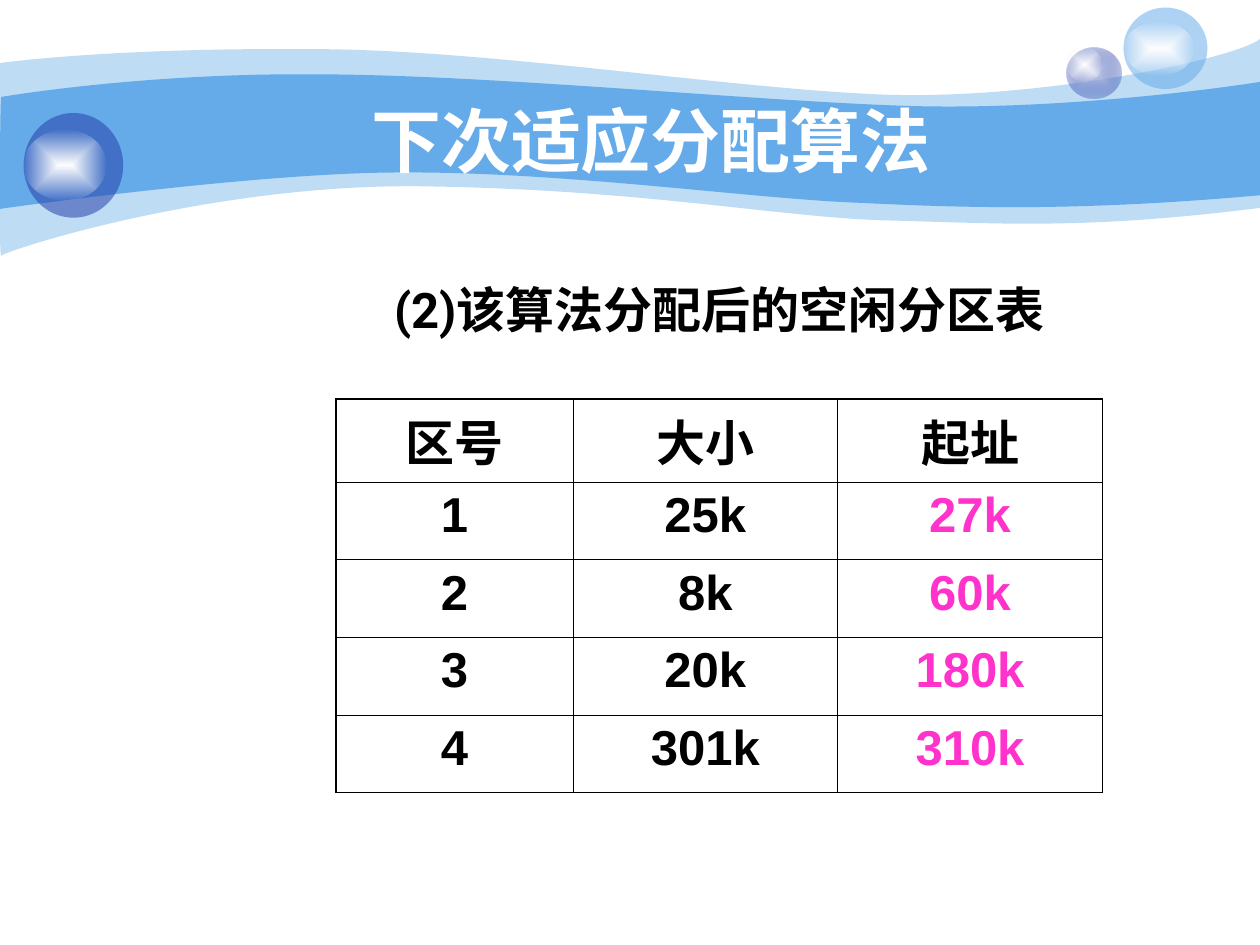
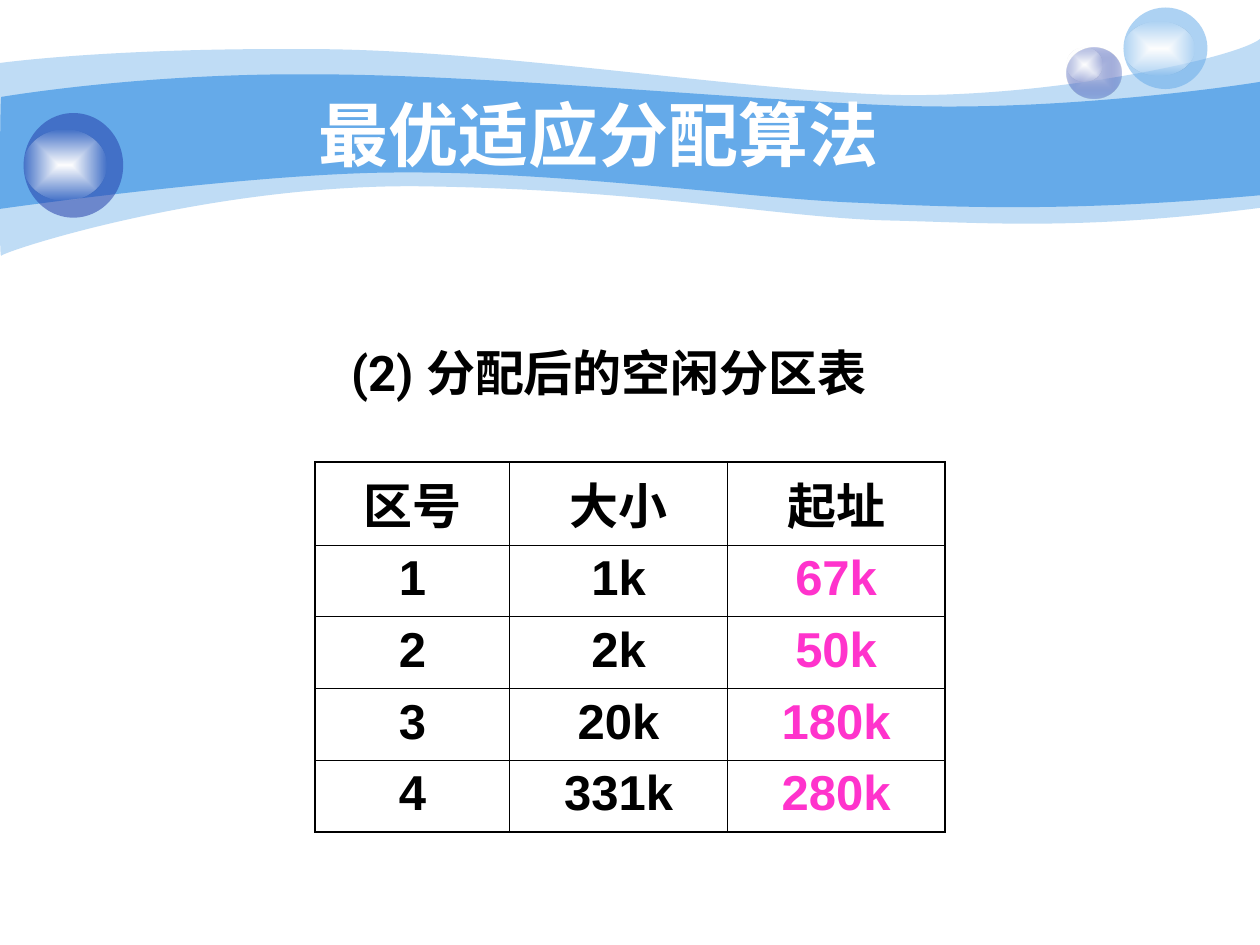
from dataclasses import dataclass

from lxml.etree import SubElement
from pptx import Presentation
from pptx.dml.color import RGBColor
from pptx.enum.shapes import MSO_SHAPE as Preset
from pptx.enum.text import MSO_ANCHOR as Anchor, MSO_AUTO_SIZE as AutoSize, PP_ALIGN as Align
from pptx.oxml import parse_xml
from pptx.oxml.ns import nsdecls, qn
from pptx.util import Pt


@dataclass(frozen=True)
class Theme:
    """Colours, fonts, type sizes and rule widths shared by the slides."""
    sky: str = "65AAE9"
    navy: str = "233DA9"
    lilac: str = "C7CEE9"
    white: str = "FFFFFF"
    ink: str = "000000"
    address: str = "FF33CC"
    body_font: str = "Arial"
    caption_font: str = "Roboto"
    title_size: float = 40
    body_size: float = 28
    frame_rule: float = 1.08
    grid_rule: float = 0.45


@dataclass(frozen=True)
class Box:
    """A region of the slide in points."""
    left: float
    top: float
    width: float
    height: float

    def inner(self, left, top, width, height):
        """Return a box placed relative to this one."""
        return Box(self.left + left, self.top + top, width, height)

    def lengths(self):
        """Return the four lengths for python-pptx."""
        return Pt(self.left), Pt(self.top), Pt(self.width), Pt(self.height)


THEME = Theme()
SLIDE = Box(0, 0, 720, 540)
HEADER = Box(0, 0, 720, 150)
COLUMN_WEIGHTS = (1.88, 2.1, 2.1)
COLUMN_HEADS = ("区号", "大小", "起址")
HEAD_ROW_HEIGHT = 47.5

PALE_WAVE = [
    [(0, 36)],
    [(17.3, 33.8), (77, 27.4), (177.8, 28.1)],
    [(277.9, 28.1), (414, 50.4), (503.3, 54)],
    [(591.8, 57.6), (705.6, 33.8), (720, 22.3)],
    [(720, 118.8)],
    [(617.8, 131.8), (566.6, 127.4), (507.6, 126)],
    [(447.8, 124.6), (370.8, 108.7), (247, 106.6)],
    [(123.8, 103.7), (2.9, 143.3), (0.7, 146.2)],
    [(-0.7, 149.8), (0, 54), (0, 36)],
]
DEEP_WAVE = [
    [(0.7, 55.4)],
    [(1.4, 55.4), (79.2, 41.8), (178.6, 42.5)],
    [(277.9, 42.5), (428.4, 57.6), (517, 60.5)],
    [(605.5, 63.4), (702.7, 49.7), (720, 46.8)],
    [(720, 111.6)],
    [(614.2, 121), (550.8, 118.8), (491, 115.9)],
    [(431.3, 113.8), (321.8, 97.9), (228.2, 98.6)],
    [(146.2, 98.6), (-1.4, 119.5), (-0.7, 119.5)],
    [(0, 119.5), (0, 55.4), (0.7, 55.4)],
]


def paint(shape, colour, opacity=100):
    """Fill a shape with one colour, without line or shadow."""
    shape.shadow.inherit = False
    shape.line.fill.background()
    shape.fill.solid()
    shape.fill.fore_color.rgb = RGBColor.from_string(colour)
    if opacity < 100:
        tint = shape.fill._xPr.find(f"{qn('a:solidFill')}/{qn('a:srgbClr')}")
        SubElement(tint, qn("a:alpha"), val=str(opacity * 1000))


def paint_glow(shape, centre, edge, edge_opacity):
    """Fill a shape with a gradient running from its centre to its edge."""
    paint(shape, centre)
    solid = shape.fill._xPr.find(qn("a:solidFill"))
    solid.getparent().replace(solid, parse_xml(
        f'<a:gradFill {nsdecls("a")} rotWithShape="1"><a:gsLst>'
        f'<a:gs pos="0"><a:srgbClr val="{centre}"/></a:gs>'
        f'<a:gs pos="100000"><a:srgbClr val="{edge}">'
        f'<a:alpha val="{edge_opacity * 1000}"/></a:srgbClr></a:gs></a:gsLst>'
        '<a:path path="rect"><a:fillToRect l="50000" t="50000" r="50000" b="50000"/>'
        '</a:path></a:gradFill>'))


def bend(wave, segments):
    """Turn each run of three straight steps into one cubic curve."""
    outline = wave._element.find(f".//{qn('a:path')}")
    steps = iter(outline.findall(qn("a:lnTo")))
    for segment in segments:
        first, *others = [next(steps) for _ in segment]
        if others:
            first.tag = qn("a:cubicBezTo")
            for step in others:
                first.append(step[0])
                outline.remove(step)


def add_wave(slide, box, segments, opacity=100):
    """Draw one wave of the header from its curves and straight sides."""
    start, *knots = [(Pt(box.left + x), Pt(box.top + y))
                     for segment in segments for x, y in segment]
    builder = slide.shapes.build_freeform(*start)
    builder.add_line_segments(knots, close=True)
    wave = builder.convert_to_shape()
    bend(wave, segments[1:])
    paint(wave, THEME.sky, opacity)


def add_bubble(slide, ball_box, shine_box):
    """Draw a ball with a shine on it and return the ball."""
    bubble = slide.shapes.add_group_shape()
    ball, shine = (bubble.shapes.add_shape(Preset.OVAL, *box.lengths())
                   for box in (ball_box, shine_box))
    paint_glow(shine, THEME.white, THEME.white, 0)
    return ball


def add_header(slide, box):
    """Draw the waves and the three bubbles."""
    add_wave(slide, box, PALE_WAVE, 41)
    add_wave(slide, box, DEEP_WAVE)
    small = add_bubble(slide, box.inner(609.6, 27, 31, 29.3), box.inner(609.6, 27, 20.2, 19.4))
    paint_glow(small, THEME.lilac, THEME.navy, 31)
    light = add_bubble(slide, box.inner(642, 4.3, 48, 46.6), box.inner(642, 12.2, 40.3, 31))
    paint(light, THEME.sky, 53)
    dark = add_bubble(slide, box.inner(13.5, 64.6, 56.9, 59.8), box.inner(13.5, 74.2, 47.5, 40.3))
    paint(dark, THEME.navy, 53)


def write(frame, words, size, font, colour):
    """Write one centred bold line into a text frame."""
    line = frame.paragraphs[0]
    line.alignment = Align.CENTER
    run = line.add_run()
    run.text = words
    run.font.size = Pt(size)
    run.font.name = font
    run.font.bold = True
    run.font.color.rgb = RGBColor.from_string(colour)


def add_title(slide, box, words):
    """Write the slide title over the waves."""
    frame = slide.shapes.add_textbox(*box.lengths()).text_frame
    frame.word_wrap = True
    frame.vertical_anchor = Anchor.MIDDLE
    write(frame, words, THEME.title_size, THEME.body_font, THEME.white)


def add_caption(slide, box, words):
    """Write the heading above the table."""
    frame = slide.shapes.add_textbox(*box.lengths()).text_frame
    frame.word_wrap = True
    frame.auto_size = AutoSize.SHAPE_TO_FIT_TEXT
    write(frame, words, THEME.body_size, THEME.caption_font, THEME.ink)


def rule_cell(cell, outer_sides):
    """Rule the four sides of a cell, heavier along the table's frame."""
    for side in "LRTB":
        width = THEME.frame_rule if side in outer_sides else THEME.grid_rule
        cell._tc.get_or_add_tcPr().append(parse_xml(
            f'<a:ln{side} {nsdecls("a")} w="{Pt(width)}"><a:solidFill>'
            f'<a:srgbClr val="{THEME.ink}"/></a:solidFill></a:ln{side}>'))


def add_partitions(slide, box, partitions):
    """Draw the table of free partitions, numbered from 1."""
    lines = [COLUMN_HEADS] + [(str(number), *partition)
                              for number, partition in enumerate(partitions, 1)]
    last_row, last_column = len(lines) - 1, len(COLUMN_HEADS) - 1
    row_height = (box.height - HEAD_ROW_HEIGHT) / len(partitions)
    table = slide.shapes.add_table(len(lines), len(COLUMN_HEADS), *box.lengths()).table
    table.first_row = table.horz_banding = False
    for column, weight in zip(table.columns, COLUMN_WEIGHTS):
        column.width = Pt(box.width * weight / sum(COLUMN_WEIGHTS))
    for r, line in enumerate(lines):
        table.rows[r].height = Pt(row_height if r else HEAD_ROW_HEIGHT)
        for c, words in enumerate(line):
            cell = table.cell(r, c)
            edges = {"L": c == 0, "R": c == last_column, "T": r == 0, "B": r == last_row}
            rule_cell(cell, [side for side, outer in edges.items() if outer])
            cell.fill.background()
            colour = THEME.address if r and c == last_column else THEME.ink
            write(cell.text_frame, words, THEME.body_size, THEME.body_font, colour)


def add_algorithm_slide(deck, title, title_box, caption, caption_box, partitions, table_box):
    """Build one slide about an allocation algorithm."""
    slide = deck.slides.add_slide(deck.slide_layouts[6])
    add_header(slide, HEADER)
    add_title(slide, title_box, title)
    add_caption(slide, caption_box, caption)
    add_partitions(slide, table_box, partitions)


def main():
    """Build and save the deck."""
    deck = Presentation()
    deck.slide_width, deck.slide_height = Pt(SLIDE.width), Pt(SLIDE.height)
    add_algorithm_slide(
        deck, "下次适应分配算法", Box(156, 60, 432, 39.6),
        "(2)该算法分配后的空闲分区表", Box(192, 156, 438, 41),
        [("25k", "27k"), ("8k", "60k"), ("20k", "180k"), ("301k", "310k")],
        Box(192, 228, 438, 225))
    add_algorithm_slide(
        deck, "最优适应分配算法", Box(138, 50.8, 408, 51),
        "(2) 分配后的空闲分区表", Box(168, 192, 360, 41),
        [("1k", "67k"), ("2k", "50k"), ("20k", "180k"), ("331k", "280k")],
        Box(180, 264, 360, 211.5))
    deck.save("out.pptx")


if __name__ == "__main__":
    main()
